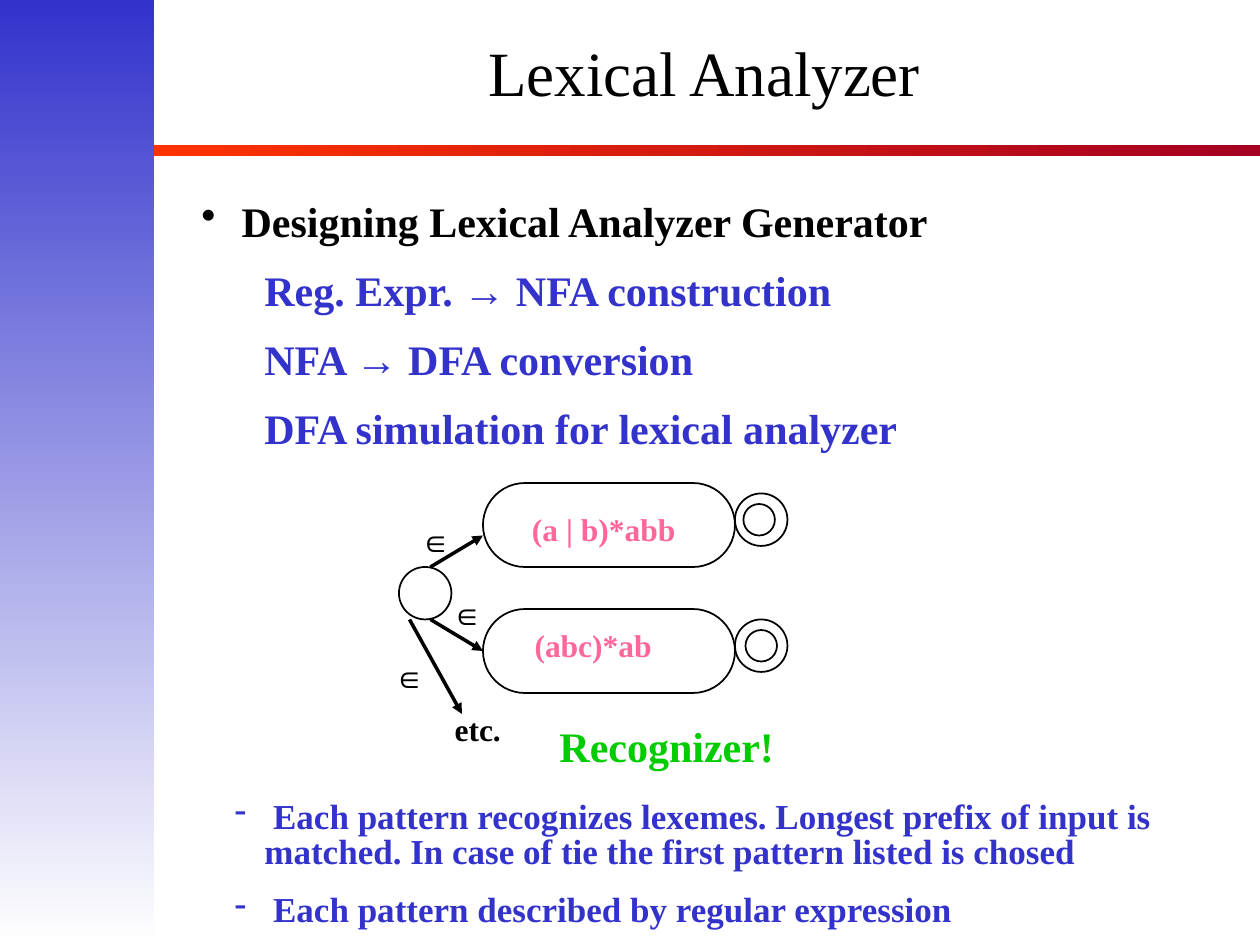
from dataclasses import dataclass

from lxml import etree
from pptx import Presentation
from pptx import util as u
from pptx.dml.color import RGBColor
from pptx.enum import shapes, text
from pptx.oxml import ns

Pt = u.Pt


@dataclass(frozen=True)
class Theme:
    ink: str = "000000"
    blue: str = "3333CC"
    white: str = "FFFFFF"
    pink: str = "FF6699"
    green: str = "00CC00"
    red: str = "FF3300"
    crimson: str = "A50021"
    serif: str = "Times New Roman"
    sans: str = "Arial"
    title: int = 36
    head: int = 24
    note: int = 20
    label: int = 18


theme = Theme()


def add_span(para, words, size, color, bold=True, font=theme.serif):
    span = para.add_run()
    span.text = words
    span.font.name = font
    span.font.size = Pt(size)
    span.font.bold = bold
    span.font.color.rgb = RGBColor.from_string(color)


def add_box(left, top, width, height):
    box = page.shapes.add_textbox(Pt(left), Pt(top), Pt(width), Pt(height))
    box.text_frame.word_wrap = True
    return box.text_frame


deck = Presentation()
deck.slide_width, deck.slide_height = Pt(720), Pt(540)
page = deck.slides.add_slide(deck.slide_layouts[5])

bands = [
    ((86.4, 82.8, 633.6, 6.5), theme.red, theme.crimson, 0),
    ((0, 0, 88, 540), theme.blue, theme.white, 270),
]
for place, start, end, angle in bands:
    band = page.shapes.add_shape(shapes.MSO_SHAPE.RECTANGLE, *map(Pt, place))
    band.shadow.inherit = False
    band.line.fill.background()
    band.fill.gradient()
    band.fill.gradient_angle = angle
    for stop, color in zip(band.fill.gradient_stops, (start, end)):
        stop.color.rgb = RGBColor.from_string(color)

title = page.shapes.title
title.left, title.top, title.width, title.height = Pt(85), Pt(0), Pt(635), Pt(88)
title.text_frame.vertical_anchor = text.MSO_ANCHOR.MIDDLE
para = title.text_frame.paragraphs[0]
para.alignment = text.PP_ALIGN.CENTER
para.line_spacing = 0.85
add_span(para, "Lexical Analyzer", theme.title, theme.ink, bold=False)

topics = [
    (" Designing Lexical Analyzer Generator", "•", 17, theme.ink, 1),
    ("Reg. Expr. → NFA construction", None, 36, theme.blue, 0.85),
    ("NFA → DFA conversion", None, 36, theme.blue, 0.85),
    ("DFA simulation for lexical analyzer", None, 36, theme.blue, 0.85),
]
notes = [
    (" Each pattern recognizes lexemes. Longest prefix of input is matched. "
     "In case of tie the first pattern listed is chosed", "-", 36, theme.blue, 0.85),
    (" Each pattern described by regular expression", "-", 36, theme.blue, 0.85),
]
lists = [
    (topics, 108, 162, theme.head, 15),
    (notes, 454, 80, theme.note, 12.5),
]
for items, top, height, size, gap in lists:
    frame = add_box(108, top, 582, height)
    for index, (words, bullet, margin, color, spacing) in enumerate(items):
        para = frame.add_paragraph() if index else frame.paragraphs[0]
        para.line_spacing = spacing
        if index:
            para.space_before = Pt(gap)
        props = para._p.get_or_add_pPr()
        props.set("marL", str(Pt(margin)))
        props.set("indent", str(Pt(-17 if bullet else 0)))
        if bullet:
            bullet_color = etree.SubElement(props, ns.qn("a:buClr"))
            etree.SubElement(bullet_color, ns.qn("a:srgbClr"), val=color)
            etree.SubElement(props, ns.qn("a:buChar"), char=bullet)
        before, arrow, after = words.partition("→")
        add_span(para, before, size, color)
        if arrow:
            add_span(para, arrow, size, color, font=theme.sans)
            add_span(para, after, size, color)

oval, pill = shapes.MSO_SHAPE.OVAL, shapes.MSO_SHAPE.ROUNDED_RECTANGLE
states = [(oval, 228, 324, 30, 30)]
for top, inner_left in ((276, 424.8), (348, 426)):
    states += [
        (oval, 420, top + 6, 30, 30),
        (oval, inner_left, top + 12, 18, 18),
        (pill, 276, top, 144, 48),
    ]
for kind, *place in states:
    state = page.shapes.add_shape(kind, *map(Pt, place))
    state.shadow.inherit = False
    state.fill.background()
    state.line.color.rgb = RGBColor.from_string(theme.ink)
    state.line.width = Pt(1)
    if kind == pill:
        state.adjustments[0] = 0.5
lower_pill = state

arrows = [
    (246, 324, 276, 306, None),
    (246, 354, 276, 372, lower_pill),
    (234, 354, 264, 408, None),
]
for *ends, target in arrows:
    arrow = page.shapes.add_connector(shapes.MSO_CONNECTOR.STRAIGHT, *map(Pt, ends))
    if target:
        arrow.end_connect(target, 1)
    arrow.line.color.rgb = RGBColor.from_string(theme.ink)
    arrow.line.width = Pt(2)
    etree.SubElement(arrow.line._get_or_add_ln(), ns.qn("a:tailEnd"), type="triangle")
    etree.SubElement(arrow._element.spPr, ns.qn("a:effectLst"))

labels = [
    ("(abc)*ab", 270, 354, 138, theme.label, theme.pink, theme.serif),
    ("(a | b)*abb", 276, 288, 138, theme.label, theme.pink, theme.serif),
    ("∈", 228, 294, 42, theme.label, theme.ink, theme.sans),
    ("∈", 246, 336, 42, theme.label, theme.ink, theme.sans),
    ("∈", 216, 372, 36, theme.label, theme.ink, theme.sans),
    ("etc.", 228, 402, 90, theme.label, theme.ink, theme.serif),
    ("Recognizer!", 306, 408, 150, theme.head, theme.green, theme.serif),
]
for words, left, top, width, size, color, font in labels:
    para = add_box(left, top, width, size * 1.2 + 7.2).paragraphs[0]
    para.alignment = text.PP_ALIGN.CENTER
    add_span(para, words, size, color, font=font)

deck.save("out.pptx")
